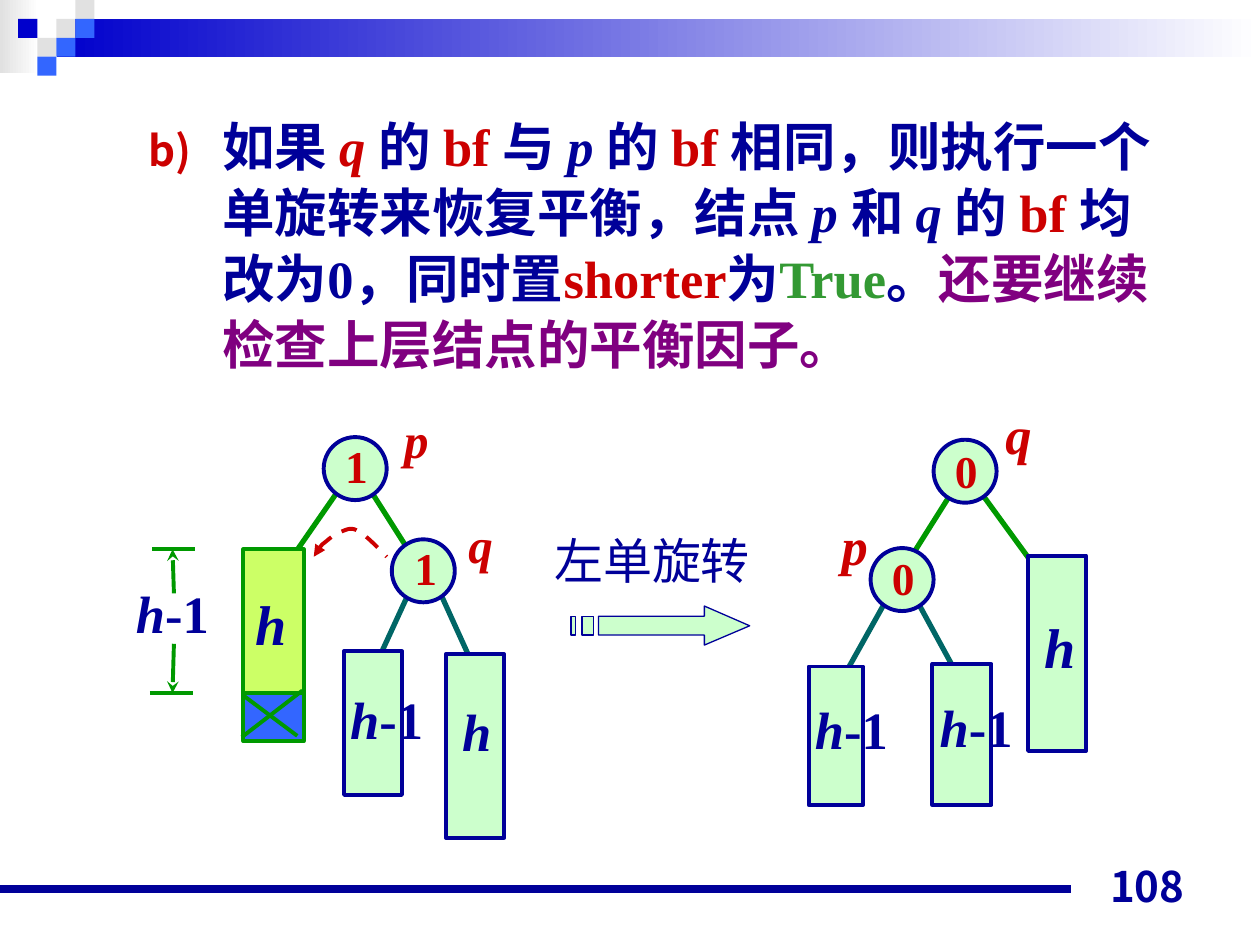
from lxml.etree import SubElement as Sub
from pptx import Presentation
from pptx.dml.color import RGBColor as Rgb
from pptx.enum.dml import MSO_LINE as Dash
from pptx.enum.shapes import MSO_CONNECTOR as Link, MSO_SHAPE as Kind
from pptx.enum.text import MSO_ANCHOR as Anchor, MSO_AUTO_SIZE as Fit, PP_ALIGN as Align
from pptx.oxml.ns import qn
from pptx.util import Pt

HUES = {
    "navy": "000099", "red": "CC0000", "green": "009900", "teal": "006666",
    "mint": "CCFFCC", "lime": "CCFF66", "blue": "3366FF", "deep": "0000CC",
    "grey": "E1E1E1", "white": "FFFFFF", "leaf": "339933", "plum": "800080",
}
SERIF, SANS = "Times New Roman", "Noto Sans CJK JP"


def hue(name):
    return Rgb.from_string(HUES[name])


def write(para, text, size=30, color="navy", bold=True, italic=False, font=SERIF):
    """Add one run with its format."""
    run = para.add_run()
    run.text = text
    face = run.font
    face.size, face.bold, face.italic, face.name = Pt(size), bold, italic, font
    face.color.rgb = hue(color)
    Sub(run._r.get_or_add_rPr(), qn("a:ea"), typeface=SANS)


def label(slide, box, runs, wrap=True, fit=Fit.SHAPE_TO_FIT_TEXT, align=Align.LEFT,
          anchor=Anchor.TOP, **form):
    """Add a text box; each run is its text and whether it is italic."""
    frame = slide.shapes.add_textbox(*map(Pt, box)).text_frame
    frame.word_wrap, frame.auto_size = wrap, fit
    frame.vertical_anchor = anchor
    para = frame.paragraphs[0]
    para.alignment = align
    for text, slant in runs:
        write(para, text, italic=slant, **form)


def paint(shape, fill=None, line=None, width=2.25):
    shape.shadow.inherit = False
    if fill:
        shape.fill.solid()
        shape.fill.fore_color.rgb = hue(fill)
    else:
        shape.fill.background()
    if line:
        shape.line.color.rgb = hue(line)
        shape.line.width = Pt(width)
    else:
        shape.line.fill.background()


def block(slide, box, fill="mint", line="navy", kind=Kind.RECTANGLE):
    shape = slide.shapes.add_shape(kind, *map(Pt, box))
    paint(shape, fill, line)
    return shape


def node(slide, left, top):
    block(slide, (left, top, 36, 36), kind=Kind.OVAL)


def fade(slide, box, color):
    """Add a bar that fades to white on the right."""
    fill = block(slide, box, line=None).fill
    fill.gradient()
    fill.gradient_angle = 180
    for stop, name in zip(fill.gradient_stops, ("white", color)):
        stop.color.rgb = hue(name)


def stroke(slide, ends, color="green", width=2.25, tip=None):
    shape = slide.shapes.add_connector(Link.STRAIGHT, *map(Pt, ends))
    shape.line.color.rgb = hue(color)
    shape.line.width = Pt(width)
    if tip:
        Sub(shape.line._get_or_add_ln(), qn("a:tailEnd"), type=tip)
    Sub(shape._element.spPr, qn("a:effectLst"))


def trace(slide, paths, close):
    """Build one freeform from lists of points."""
    paths = [[(Pt(x), Pt(y)) for x, y in path] for path in paths]
    pen = slide.shapes.build_freeform(*paths[0][0])
    for step, path in enumerate(paths):
        if step:
            pen.move_to(*path[0])
        pen.add_line_segments(path[1:], close=close)
    return pen.convert_to_shape()


def curve(knots, steps=8):
    """Sample joined cubic curves; each takes three knots after the last."""
    points = [knots[0]]
    for at in range(0, len(knots) - 1, 3):
        part = knots[at:at + 4]
        for step in range(1, steps + 1):
            t = step / steps
            mix = ((1 - t) ** 3, 3 * t * (1 - t) ** 2, 3 * t * t * (1 - t), t ** 3)
            points.append(tuple(sum(m * p[axis] for m, p in zip(mix, part))
                                for axis in (0, 1)))
    return points


def frame_page(slide):
    fade(slide, (0, 0, 22.3, 41.8), "grey")
    fade(slide, (32.4, 10.8, 687.6, 21.6), "deep")
    tiles = [(2, 1, "grey"), (3, 0, "grey"), (3, 1, "blue"), (1, 2, "grey"),
             (0, 1, "deep"), (2, 2, "blue"), (1, 3, "blue")]
    for col, row, color in tiles:
        block(slide, (10.4 + 10.9 * col, 10.8 * row, 10.9, 10.8), color, None)
    stroke(slide, (0, 508, 612, 508), "navy", 4.5)
    label(slide, (516.2, 488.2, 167.8, 36), [("108", False)], fit=Fit.NONE,
          align=Align.RIGHT, anchor=Anchor.BOTTOM, size=24, font=SANS)


def fill_body(slide):
    slide.shapes.title._element.getparent().remove(slide.shapes.title._element)
    body = slide.placeholders[1]
    body.left, body.top, body.width, body.height = map(Pt, (41.8, 59.8, 635.8, 175.7))
    frame = body.text_frame
    frame.word_wrap, frame.auto_size = True, Fit.NONE
    frame.vertical_anchor = Anchor.TOP
    para = frame.paragraphs[0]
    para.line_spacing, para.space_before = 1.05, Pt(0)
    props = para._p.get_or_add_pPr()
    props.set("marL", str(Pt(78)))
    props.set("indent", str(Pt(-42)))
    Sub(Sub(props, qn("a:buClr")), qn("a:srgbClr"), val=HUES["red"])
    Sub(props, qn("a:buSzPct"), val="80000")
    Sub(props, qn("a:buFont"), typeface=SANS)
    Sub(props, qn("a:buAutoNum"), type="alphaLcParenR", startAt="2")
    runs = [
        ("如果 ", "navy"), ("q ", "red"), ("的 ", "navy"), ("bf ", "red"),
        ("与 ", "navy"), ("p ", "navy"), ("的 ", "navy"), ("bf ", "red"),
        ("相同，则执行一个单旋转来恢复平衡，结点 ", "navy"), ("p ", "navy"),
        ("和 ", "navy"), ("q ", "navy"), ("的 ", "navy"), ("bf ", "red"),
        ("均改为0，同时置", "navy"), ("shorter", "red"), ("为", "navy"),
        ("True", "leaf"), ("。", "navy"),
        ("还要继续检查上层结点的平衡因子。", "plum"),
    ]
    for text, color in runs:
        write(para, text, color=color, italic=text in ("p ", "q "))


def draw_tree(slide, edges, boxes, nodes, marks):
    for color, ends in edges:
        stroke(slide, ends, color, 3)
    for box in boxes:
        block(slide, box)
    for spot in nodes:
        node(slide, *spot)
    for text, size, left, top, width in marks:
        tall = size * 1.2 + 7.2
        color = "navy" if text[0] == "h" else "red"
        runs = [(text[0], text[0].isalpha())] + [(text[1:], False)] * (len(text) > 1)
        label(slide, (left, top, width, tall), runs, size=size, color=color)


def draw_left(slide):
    block(slide, (139, 313.9, 34.6, 108), "lime", "green")
    block(slide, (139, 396, 34.6, 27.4), "blue", "green")
    for ends in [(172.8, 394.6, 138.2, 421.2), (139, 397.4, 169.9, 420.5),
                 (85.7, 396, 110.2, 396), (87.1, 313.9, 111.6, 313.9)]:
        stroke(slide, ends)
    for ends in [(99.4, 367.9, 98.6, 396), (99.4, 339.1, 98.6, 313.9)]:
        stroke(slide, ends, tip="stealth")
    draw_tree(
        slide,
        [("teal", (249.1, 333.4, 273.6, 387.4)), ("teal", (239.8, 325.4, 215.3, 378.7)),
         ("green", (203.8, 267.8, 245.5, 333.4)), ("green", (198, 273.6, 170, 314))],
        [(196.6, 372.2, 33.1, 82.1), (254.9, 373.7, 33.1, 105.1)],
        [(185, 249.8), (223.9, 308.2)],
        [("1", 26, 190.1, 247, 41.8), ("1", 26, 229.7, 305.3, 41.8),
         ("p", 28, 223.9, 230.4, 37.4), ("q", 28, 260.6, 290.2, 37.4),
         ("h", 32, 139, 333.4, 36.7), ("h", 30, 257, 396, 30.2),
         ("h-1", 30, 193, 388.8, 59.8), ("h-1", 30, 70.6, 328.3, 59.8)])
    knots = [(179.3, 318.2), (180.7, 316.1), (182.2, 313.2), (184.3, 311),
             (187.2, 308.9), (191.5, 304.6), (195.1, 303.8),
             (198.7, 302.4), (200.9, 301), (205.2, 303.8),
             (209.5, 306), (218.9, 316.1), (221, 318.2)]
    turn = trace(slide, [curve(knots)], False)
    paint(turn, line="red")
    turn.line.dash_style = Dash.DASH
    Sub(turn.line._get_or_add_ln(), qn("a:headEnd"), type="triangle")


def draw_right(slide):
    draw_tree(
        slide,
        [("teal", (509, 338.4, 478.8, 392.4)), ("teal", (521.3, 338.4, 550.8, 392.4)),
         ("green", (551.5, 269.3, 509.8, 335.5)), ("green", (555.8, 275, 604.1, 341.3))],
        [(462.2, 380.9, 31, 79.2), (532.8, 379.4, 33.8, 80.6),
         (587.5, 317.5, 33.1, 111.6)],
        [(533.5, 251.3), (497.5, 313.2)],
        [("0", 26, 502.6, 311, 41.8), ("0", 26, 538.6, 249.8, 54),
         ("p", 30, 473.8, 289.4, 37.4), ("q", 30, 567.4, 226.1, 37.4),
         ("h", 32, 589.7, 346.3, 30.2), ("h-1", 30, 529.9, 393.8, 65.5),
         ("h-1", 30, 458.6, 394.6, 59.8)])


def draw_arrow(slide):
    top, low = 352.1, 362.9
    arrow = [(342, top), (402.5, top), (402.5, 346.3), (428.4, 357.6),
             (402.5, 368.6), (402.5, low), (342, low)]
    bars = [[(a, top), (b, top), (b, low), (a, low)]
            for a, b in ((326.2, 329), (332.6, 339.1))]
    paint(trace(slide, [arrow] + bars, True), "mint", "navy", 0.75)
    label(slide, (309.6, 299.5, 126, 41), [("左单旋转", False)], wrap=False,
          size=28, bold=False)


def main():
    deck = Presentation()
    deck.slide_width, deck.slide_height = Pt(720), Pt(540)
    slide = deck.slides.add_slide(deck.slide_layouts[1])
    frame_page(slide)
    fill_body(slide)
    draw_arrow(slide)
    draw_right(slide)
    draw_left(slide)
    deck.save("out.pptx")


if __name__ == "__main__":
    main()
